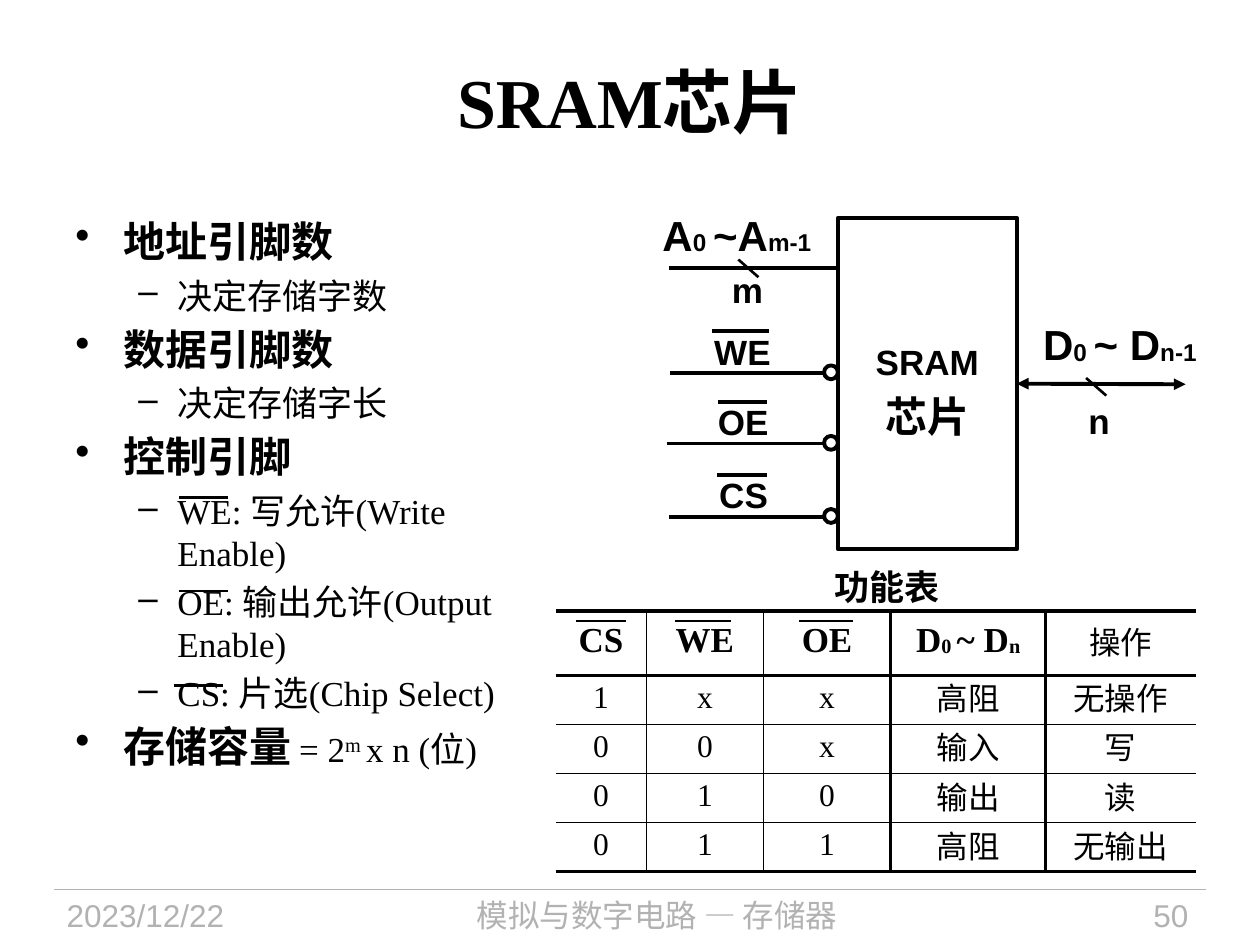
from itertools import accumulate
from pptx import Presentation
from pptx.dml.color import RGBColor
from pptx.enum.shapes import MSO_CONNECTOR, MSO_SHAPE
from pptx.enum.text import MSO_ANCHOR, PP_ALIGN
from pptx.oxml.ns import qn
from pptx.util import Inches, Pt
from lxml.etree import SubElement

THEME = dict(ink="000000", grey="B2B2B2", paper="FFFFFF",
             serif="Times New Roman", sans="Arial", cjk="Noto Sans CJK SC",
             title=40, head=24, sub=20, small=18,
             thick=2.25, mid=1.5, thin=1, hair=0.75)
HEAD, SUB, SMALL = THEME["head"], THEME["sub"], THEME["small"]
THICK, MID, THIN = THEME["thick"], THEME["mid"], THEME["thin"]
L, C, R = PP_ALIGN.LEFT, PP_ALIGN.CENTER, PP_ALIGN.RIGHT

# A run is text, or (text, baseline shift in percent)
FOOTER = [("2023/12/22", 0.43, 1.88, L), ("模拟与数字电路 — 存储器", 2.4, 5.63, C),
          ("50", 8.2, 1.33, R)]
POINTS = [(0, "地址引脚数"), (1, "决定存储字数"), (0, "数据引脚数"),
          (1, "决定存储字长"), (0, "控制引脚"), (1, "WE: 写允许(Write Enable)"),
          (1, "OE: 输出允许(Output Enable)"), (1, "CS: 片选(Chip Select)"),
          (0, "存储容量")]
SIZE_RULE = [" = 2", ("m ", 30), "x n (位)"]
TABLE = [["CS", "WE", "OE", ["D", ("0 ", -2), "~ D", ("n", -2)], "操作"],
         ["1", "x", "x", "高阻", "无操作"],
         ["0", "0", "x", "输入", "写"],
         ["0", "1", "0", "输出", "读"],
         ["0", "1", "1", "高阻", "无输出"]]
COLS = [0.72, 0.93, 1.01, 1.23, 1.19]
ROWS = [0.51] + [0.39] * 4
RULES = [THIN, THIN, THICK, THICK]          # between columns
BARS = [THICK, THICK, THIN, THIN, THIN, THICK]  # above and below rows
# Active-low pins: name, line start, line y, text left, text width, bar ends
PINS = [("WE", 5.32, 2.96, 5.57, 0.65, 5.65, 6.1),
        ("OE", 5.29, 3.52, 5.6, 0.6, 5.7, 6.09),
        ("CS", 5.31, 4.1, 5.61, 0.59, 5.69, 6.09)]
BUSES = [(["A", ("0 ", -2), "~A", ("m-1", -2)], 5.16, 1.61, 1.47, HEAD),
         (["D", ("0 ", -2), "~ D", ("n-1", -2)], 8.18, 2.48, 1.5, HEAD),
         ("m", 5.71, 2.08, 0.5, SUB), ("n", 8.54, 3.12, 0.37, SUB)]
SLASHES = [(5.86, 2.06), (8.62, 3)]
OVERS = [(1.42, 3.95, 0.39), (1.42, 4.69, 0.39), (1.38, 5.44, 0.39),
         (4.57, 4.93, 0.4), (5.36, 4.93, 0.44), (6.34, 4.93, 0.43)]

deck = Presentation()
deck.slide_width, deck.slide_height = Inches(10), Inches(7.5)
slide = deck.slides.add_slide(deck.slide_layouts[6])
shapes = slide.shapes


def paint(name):
    return RGBColor.from_string(THEME[name])


def write(para, runs, size, face="sans", bold=True, ink="ink"):
    for item in [runs] if isinstance(runs, str) else runs:
        text, shift = (item, 0) if isinstance(item, str) else item
        run = para.add_run()
        run.text = text
        font = run.font
        font.size, font.bold, font.name = Pt(size), bold, THEME[face]
        font.color.rgb = paint(ink)
        props = run._r.get_or_add_rPr()
        SubElement(props, qn("a:ea")).set("typeface", THEME["cjk"])
        if shift:
            props.set("baseline", str(shift * 1000))


def box(left, top, width, height, wrap=True):
    frame = shapes.add_textbox(*map(Inches, (left, top, width, height))).text_frame
    frame.word_wrap = wrap
    return frame


def label(runs, left, top, width, height, size, align=L, wrap=False, **look):
    frame = box(left, top, width, height, wrap)
    para = frame.paragraphs[0]
    para.alignment = align
    write(para, runs, size, **look)
    return frame


def line(x1, y1, x2, y2, width, ink="ink"):
    link = shapes.add_connector(MSO_CONNECTOR.STRAIGHT, *map(Inches, (x1, y1, x2, y2)))
    link.line.width, link.line.color.rgb = Pt(width), paint(ink)
    SubElement(link._element.spPr, qn("a:effectLst"))
    return link


def shape(kind, left, top, width, height):
    item = shapes.add_shape(kind, *map(Inches, (left, top, width, height)))
    item.shadow.inherit = False
    item.line.width, item.line.color.rgb = Pt(THICK), paint("ink")
    return item


def bullet(para, level):
    left, hang, mark = [(0.38, 0.38, "•"), (0.81, 0.31, "–")][level]
    props = para._p.get_or_add_pPr()
    props.set("marL", str(Inches(left)))
    props.set("indent", str(-Inches(hang)))
    SubElement(props, qn("a:buChar")).set("char", mark)


def border(cell, sides):
    """Draw the sides, a dict of L, R, T, B to points; 0 leaves a side bare."""
    props = cell._tc.get_or_add_tcPr()
    for spot, side in enumerate("LRTB"):
        width = sides[side]
        edge = props.makeelement(qn("a:ln" + side), {"w": str(Pt(width))})
        props.insert(spot, edge)
        if width:
            fill = SubElement(edge, qn("a:solidFill"))
            SubElement(fill, qn("a:srgbClr")).set("val", THEME["ink"])
        else:
            SubElement(edge, qn("a:noFill"))


# Footer, title and points
line(0.43, 7.06, 9.57, 7.06, THEME["hair"], "grey")
for text, left, width, align in FOOTER:
    label(text, left, 7.06, width, 0.44, SMALL, align, True, bold=False, ink="grey")
title = label("SRAM芯片", 0.5, 0.37, 9, 0.85, THEME["title"], C, True, face="serif")
title.vertical_anchor = MSO_ANCHOR.MIDDLE

body = box(0.5, 1.66, 3.86, 5.32)
for num, (level, text) in enumerate(POINTS):
    para = body.add_paragraph() if num else body.paragraphs[0]
    size = (HEAD, SUB)[level]
    para.space_after = Pt(size * 0.2)
    bullet(para, level)
    write(para, text, size, "serif", level == 0)
write(para, SIZE_RULE, SUB, "serif", False)

# Function table
label("功能表", 6.52, 4.44, 1.04, 0.43, SUB, C)
grid = shapes.add_table(len(ROWS), len(COLS), *map(
    Inches, (4.41, 4.85, sum(COLS), sum(ROWS)))).table
grid.first_row = grid.horz_banding = False
for col, width in zip(grid.columns, COLS):
    col.width = Inches(width)
walls = [0, *RULES, 0]
for r, words in enumerate(TABLE):
    grid.rows[r].height = Inches(ROWS[r])
    for c, word in enumerate(words):
        cell = grid.cell(r, c)
        cell.fill.background()
        cell.margin_left = cell.margin_right = cell.margin_top = cell.margin_bottom = 0
        cell.vertical_anchor = MSO_ANCHOR.MIDDLE
        para = cell.text_frame.paragraphs[0]
        para.alignment, para.line_spacing = C, 0.8
        strong = r == 0 and c < 4
        write(para, word, SUB if strong else SMALL, "serif", strong)
        border(cell, dict(L=walls[c], R=walls[c + 1], T=BARS[r], B=BARS[r + 1]))

# Chip with its buses and pins
chip = shape(MSO_SHAPE.RECTANGLE, 6.65, 1.73, 1.42, 2.63)
chip.fill.background()
name = label("SRAM", 6.73, 2.65, 1.26, 0.91, SUB, C, True)
second = name.add_paragraph()
second.alignment = C
write(second, "芯片", HEAD)
for para, size in zip(name.paragraphs, (SUB, HEAD)):
    para.space_before = Pt(size * 0.2)

line(5.31, 2.13, 6.65, 2.13, THICK)
data = line(8.07, 3.07, 9.41, 3.05, THICK)
data.begin_connect(chip, 3)
for end in ("headEnd", "tailEnd"):
    SubElement(data.line._get_or_add_ln(), qn("a:" + end)).set("type", "triangle")
for runs, left, top, width, size in BUSES:
    label(runs, left, top, width, 0.51 if size == HEAD else 0.43, size)
for x, y in SLASHES:
    line(x, y, x + 0.16, y + 0.14, MID)
for text, start, y, left, width, bar, stop in PINS:
    line(start, y, 6.65, y, THICK)
    label(text, left, y - 0.39, width, 0.43, SUB)
    line(bar, y - 0.33, stop, y - 0.33, THICK)
    knot = shape(MSO_SHAPE.OVAL, 6.54, y - 0.06, 0.11, 0.11)
    knot.fill.solid()
    knot.fill.fore_color.rgb = paint("paper")
for x, y, width in OVERS:
    line(x, y, x + width, y, MID)

deck.save("out.pptx")
